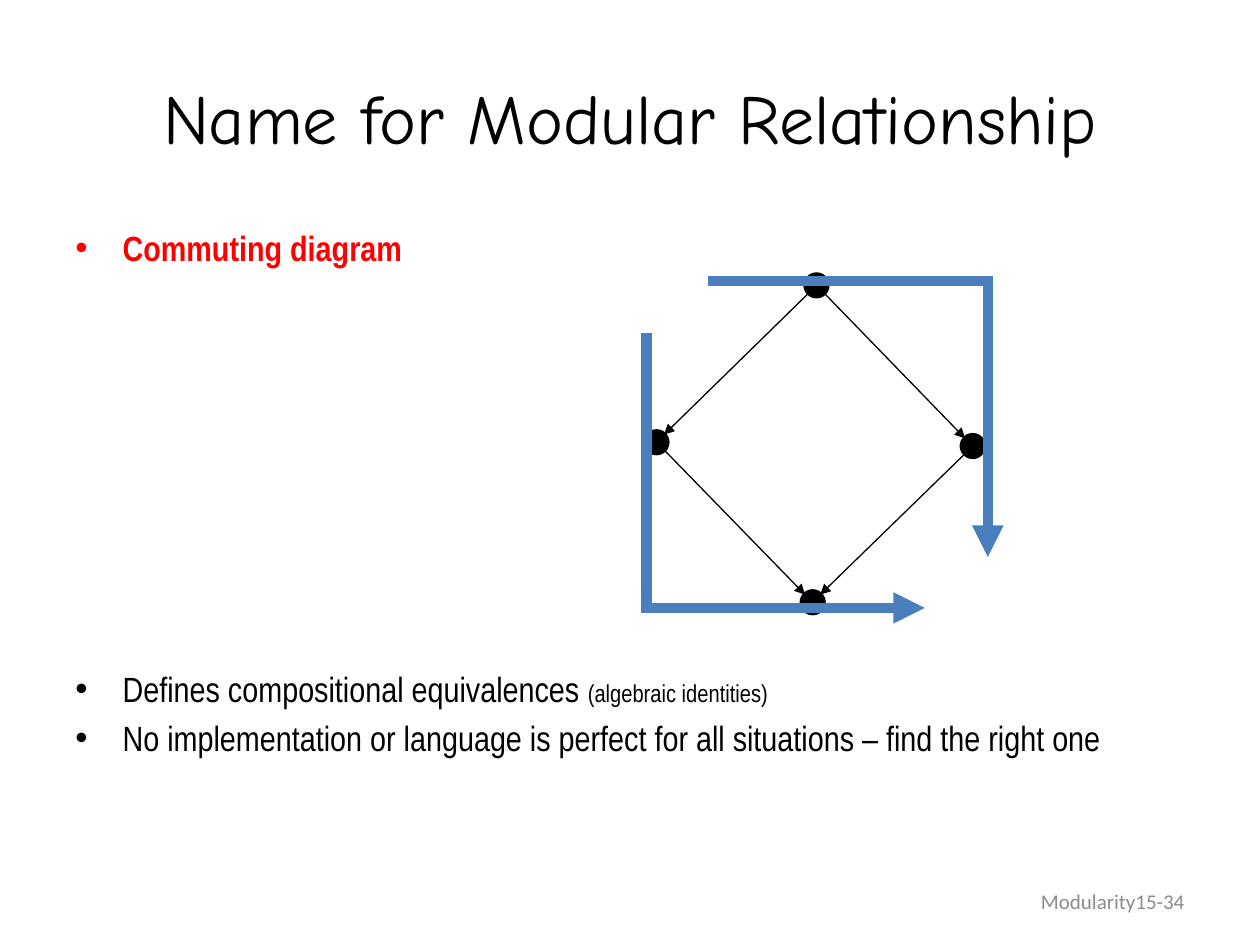
from lxml import etree
from pptx import Presentation
from pptx.dml.color import RGBColor
from pptx.enum.shapes import MSO_CONNECTOR, MSO_SHAPE
from pptx.enum.text import MSO_ANCHOR, PP_ALIGN
from pptx.oxml.ns import qn
from pptx.util import Inches, Pt

STRAIGHT, OVAL = MSO_CONNECTOR.STRAIGHT, MSO_SHAPE.OVAL
MIDDLE, TOP = MSO_ANCHOR.MIDDLE, MSO_ANCHOR.TOP
LEFT, CENTER, RIGHT = PP_ALIGN.LEFT, PP_ALIGN.CENTER, PP_ALIGN.RIGHT

COLORS = {"ink": "000000", "accent": "FF0000", "path": "4B7EBC", "muted": "8C8C8C"}
TITLE = {"name": "Comic Neue", "size": Pt(40), "bold": False}
BODY = {"name": "Arial Narrow", "size": Pt(20), "bold": False}
STRONG = {**BODY, "bold": True}
SMALL = {**BODY, "size": Pt(14)}
FOOTER = {"name": "Calibri", "size": Pt(12), "bold": False}


class SlideWriter:
    """Draws on a grid of 100 columns by 75 rows."""

    def __init__(self):
        self.deck = Presentation()
        self.deck.slide_width, self.deck.slide_height = Inches(10), Inches(7.5)
        self.column = self.deck.slide_width / 100
        self.row = self.deck.slide_height / 75
        self.page = self.deck.slides.add_slide(self.deck.slide_layouts[5])

    def place(self, *grid):
        units = (self.column, self.row) * 2
        return [round(value * unit) for value, unit in zip(grid, units)]

    def color(self, name):
        return RGBColor.from_string(COLORS[name])

    def span(self, para, text, style, color="ink"):
        span = para.add_run()
        span.text = text
        for name, value in style.items():
            setattr(span.font, name, value)
        span.font.color.rgb = self.color(color)

    def frame(self, box, anchor):
        box.text_frame.word_wrap = True
        box.text_frame.vertical_anchor = anchor
        return box.text_frame

    def title(self, text, grid):
        box = self.page.shapes.title
        box.left, box.top, box.width, box.height = self.place(*grid)
        para = self.frame(box, MIDDLE).paragraphs[0]
        para.alignment = CENTER
        self.span(para, text, TITLE)

    def text(self, grid, anchor=TOP):
        return self.frame(self.page.shapes.add_textbox(*self.place(*grid)), anchor)

    def bullets(self, grid, items):
        frame = self.text(grid)
        for index, (space, spans) in enumerate(items):
            para = frame.add_paragraph() if index else frame.paragraphs[0]
            para.alignment, para.space_before = LEFT, Pt(space)
            props = para._p.get_or_add_pPr()
            props.set("marL", str(Inches(0.375)))
            props.set("indent", str(-Inches(0.375)))
            etree.SubElement(props, qn("a:buFont"), typeface="Arial")
            etree.SubElement(props, qn("a:buChar"), char="•")
            for span in spans:
                self.span(para, *span)

    def footer(self, text, grid):
        para = self.text(grid, MIDDLE).paragraphs[0]
        para.alignment = RIGHT
        self.span(para, text, FOOTER, "muted")

    def dot(self, center, size=1.8):
        x, y = center
        dot = self.page.shapes.add_shape(
            OVAL, *self.place(x - size / 2, y - size / 2, size, size))
        dot.shadow.inherit = False
        dot.fill.solid()
        dot.fill.fore_color.rgb = dot.line.color.rgb = self.color("ink")
        dot.line.width = Pt(2)

    def line(self, start, end, color, width, arrow=False):
        line = self.page.shapes.add_connector(STRAIGHT, *self.place(*start, *end))
        line.line.color.rgb = self.color(color)
        line.line.width = Pt(width)
        if arrow:
            etree.SubElement(line.line._get_or_add_ln(), qn("a:tailEnd"), type="triangle")
        etree.SubElement(line._element.spPr, qn("a:effectLst"))

    def edge(self, start, end, gap=0.6):
        """Arrow between two dots, stopping short of both centers."""
        steps = [gap if b > a else -gap for a, b in zip(start, end)]
        self.line([a + step for a, step in zip(start, steps)],
                  [b - step for b, step in zip(end, steps)], "ink", 0.75, arrow=True)


def main():
    slide = SlideWriter()
    slide.title("Name for Modular Relationship", (5, 3, 90, 12.5))

    # Statements; the second leaves room for the diagram
    slide.bullets((5, 17.5, 90, 49.5), [
        (0, [("Commuting diagram", STRONG, "accent")]),
        (228, [("Defines compositional equivalences ", BODY),
               ("(algebraic identities)", SMALL)]),
        (4, [("No implementation or language is perfect for all situations"
              " – find the right one", BODY)]),
    ])

    # Commuting diamond
    top, right, left, bottom = (64.8, 22.65), (77.2, 35.4), (52.1, 35.1), (64.5, 47.8)
    for center in (top, right, left, bottom):
        slide.dot(center)
    for start, end in ((top, right), (top, left), (left, bottom), (right, bottom)):
        slide.edge(start, end)

    # Two equivalent routes around the diamond
    for start, end, arrow in (
        ((78.4, 22.3), (78.4, 44.2), True),
        ((56.2, 22.3), (78.8, 22.3), False),
        ((51.3, 26.4), (51.3, 48.3), False),
        ((50.9, 48.25), (73.4, 48.25), True),
    ):
        slide.line(start, end, "path", 6, arrow)

    slide.footer("Modularity15-34", (71.7, 69.5, 23.3, 4))
    slide.deck.save("out.pptx")


if __name__ == "__main__":
    main()
